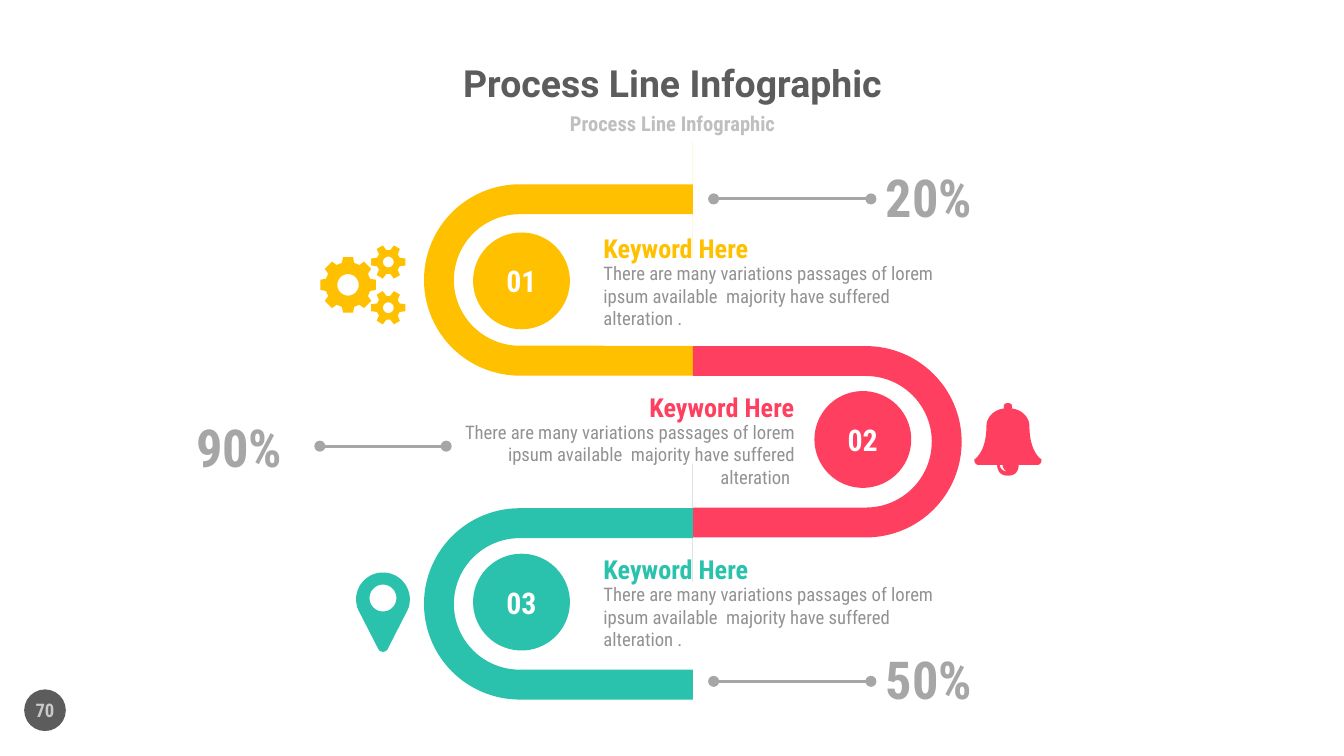
from dataclasses import dataclass
from math import cos, pi, sin

from lxml.etree import SubElement
from pptx import Presentation
from pptx.dml.color import RGBColor
from pptx.enum.shapes import MSO_CONNECTOR, MSO_SHAPE
from pptx.enum.text import MSO_ANCHOR, PP_ALIGN
from pptx.oxml.ns import qn
from pptx.util import Inches, Pt


@dataclass(frozen=True)
class Theme:
    title_font: str = "Roboto"
    font: str = "Roboto Condensed"
    dark: str = "5C5C5C"
    subtitle: str = "BFBFBF"
    number: str = "C9C9C9"
    body: str = "929292"
    callout: str = "A6A6A6"
    white: str = "FFFFFF"
    yellow: str = "FFC000"
    red: str = "FF3F5F"
    teal: str = "2AC2AC"
    title_size: int = 20
    subtitle_size: int = 11
    badge_size: int = 16
    keyword_size: int = 14
    body_size: int = 10
    value_size: int = 28


THEME = Theme()
DESCRIPTION = ("There are many variations passages of lorem ipsum available  "
               "majority have suffered alteration ")


# Shared helpers
def write(shape, text, size, color, bold=True, align=PP_ALIGN.LEFT,
          anchor=MSO_ANCHOR.TOP, wrap=False, font=THEME.font):
    frame = shape.text_frame
    frame.margin_left = frame.margin_right = frame.margin_top = frame.margin_bottom = 0
    frame.word_wrap = wrap
    frame.vertical_anchor = anchor
    para = frame.paragraphs[0]
    para.text = text
    para.alignment = align
    para.font.name = font
    para.font.size = Pt(size)
    para.font.bold = bold
    para.font.color.rgb = RGBColor.from_string(color)


def add_text(page, left, top, width, height, text, size, color, **style):
    box = page.shapes.add_textbox(Inches(left), Inches(top), Inches(width), Inches(height))
    write(box, text, size, color, **style)


def paint(shape, color):
    shape.shadow.inherit = False
    shape.fill.solid()
    shape.fill.fore_color.rgb = RGBColor.from_string(color)
    shape.line.fill.background()


def add_preset(page, preset, left, top, width, height, color):
    shape = page.shapes.add_shape(
        preset, Inches(left), Inches(top), Inches(width), Inches(height))
    paint(shape, color)
    return shape


def add_disc(page, left, top, diameter, color, text, size, text_color):
    disc = add_preset(page, MSO_SHAPE.OVAL, left, top, diameter, diameter, color)
    write(disc, text, size, text_color, align=PP_ALIGN.CENTER, anchor=MSO_ANCHOR.MIDDLE)


# Outline geometry, in inches relative to the icon box
def arc(x, y, radius, start=0, sweep=2 * pi, steps=48):
    angles = [start + sweep * i / steps for i in range(steps + 1)]
    return [(x + radius * cos(a), y + radius * sin(a)) for a in angles]


def curve(*controls, steps=12):
    points = []
    for i in range(steps + 1):
        t = i / steps
        weights = ((1 - t) ** 3, 3 * t * (1 - t) ** 2, 3 * t * t * (1 - t), t ** 3)
        points.append(tuple(sum(w * c[axis] for w, c in zip(weights, controls))
                            for axis in (0, 1)))
    return points


def add_outline(page, left, top, contours, color):
    contours = [[(Inches(left + x), Inches(top + y)) for x, y in contour]
                for contour in contours]
    builder = page.shapes.build_freeform(*contours[0][0])
    for index, contour in enumerate(contours):
        if index:
            builder.move_to(*contour[0])
        builder.add_line_segments(contour[1:], close=True)
    paint(builder.convert_to_shape(), color)


def gear(x, y, teeth, outer, root, hole, tip, base):
    corners = ((root, -base), (outer, -tip), (outer, tip), (root, base))
    rim = [(x + radius * cos(2 * pi * i / teeth + turn),
            y + radius * sin(2 * pi * i / teeth + turn))
           for i in range(teeth) for radius, turn in corners]
    return [rim, arc(x, y, hole, sweep=-2 * pi)]


# Icons
def add_gears(page, left, top, color):
    contours = gear(0.21, 0.29, 8, 0.21, 0.17, 0.08, 0.18, 0.27)
    for y in (0.12, 0.46):
        contours += gear(0.51, y, 6, 0.13, 0.09, 0.04, 0.2, 0.36)
    add_outline(page, left, top, contours, color)


def add_bell(page, left, top, color):
    half = (curve((0, 0), (0.02, 0), (0.03, 0.01), (0.03, 0.02))
            + curve((0.03, 0.04), (0.11, 0.05), (0.16, 0.11), (0.16, 0.17))
            + curve((0.16, 0.17), (0.16, 0.32), (0.21, 0.39), (0.25, 0.42))
            + curve((0.25, 0.42), (0.25, 0.45), (0.23, 0.46), (0.22, 0.46))
            + curve((0.08, 0.46), (0.08, 0.51), (0.05, 0.54), (0, 0.54)))
    body = half + [(-x, y) for x, y in reversed(half)]
    glint = (curve((0, 0.51), (-0.02, 0.51), (-0.04, 0.48), (-0.04, 0.46))
             + curve((-0.06, 0.46), (-0.06, 0.49), (-0.03, 0.51), (0, 0.51)))
    contours = [[(x + 0.25, y) for x, y in part] for part in (body, glint[::-1])]
    add_outline(page, left, top, contours, color)


def add_pin(page, left, top, color):
    drop = (arc(0.2, 0.2, 0.2, start=0.88 * pi, sweep=1.24 * pi)
            + arc(0.2, 0.55, 0.04, start=0.12 * pi, sweep=0.76 * pi))
    add_outline(page, left, top, [drop, arc(0.2, 0.19, 0.1, sweep=-2 * pi)], color)


# Regions
def add_header(page, left, top, width):
    style = dict(align=PP_ALIGN.CENTER, anchor=MSO_ANCHOR.MIDDLE)
    add_text(page, left, top, width, 0.39, "Process Line Infographic",
             THEME.title_size, THEME.dark, font=THEME.title_font, **style)
    add_text(page, left, top + 0.39, width, 0.22, "Process Line Infographic",
             THEME.subtitle_size, THEME.subtitle, **style)


def add_bend(page, left, top, color, opens_right):
    center_y = top + 0.71 + (-0.16 if opens_right else 0.16)
    bend = add_preset(page, MSO_SHAPE.U_TURN_ARROW, left + 0.12, center_y - 1, 1.75, 2, color)
    bend.rotation = 270 if opens_right else 90
    for index, value in enumerate((0.127, 0.25, 0, 0.407, 1)):
        bend.adjustments[index] = value


def add_step(page, left, top, label_top, number, color, text, opens_right):
    disc_left, text_left, align = ((0.36, 1.33, PP_ALIGN.LEFT) if opens_right
                                   else (0.9, -1.74, PP_ALIGN.RIGHT))
    keyword_left = text_left if opens_right else text_left + 2.49 - 1.32
    add_bend(page, left, top, color, opens_right)
    add_disc(page, left + disc_left, label_top, 0.72, color, number,
             THEME.badge_size, THEME.white)
    add_text(page, left + text_left, label_top + 0.22, 2.49, 0.5, text,
             THEME.body_size, THEME.body, bold=False, align=align, wrap=True)
    add_text(page, left + keyword_left, label_top, 1.32, 0.24, "Keyword Here",
             THEME.keyword_size, color, align=align, wrap=True)


def add_callout(page, left, top, value, line_left, line_right, line_y):
    line = page.shapes.add_connector(MSO_CONNECTOR.STRAIGHT, Inches(line_right),
                                     Inches(line_y), Inches(line_left), Inches(line_y))
    line.line.color.rgb = RGBColor.from_string(THEME.callout)
    line.line.width = Pt(1.5)
    for end in ("a:headEnd", "a:tailEnd"):
        SubElement(line.line._get_or_add_ln(), qn(end), type="oval")
    SubElement(line._element.spPr, qn("a:effectLst"))
    add_text(page, left, top, 0.79, 0.47, value, THEME.value_size, THEME.callout,
             anchor=MSO_ANCHOR.BOTTOM)


def main():
    deck = Presentation()
    deck.slide_width = Inches(10)
    deck.slide_height = deck.slide_width * 9 // 16
    page = deck.slides.add_slide(deck.slide_layouts[6])

    add_disc(page, 0.18, 5.13, 0.31, THEME.dark, "70", THEME.body_size, THEME.number)
    add_header(page, 1.92, 0.42, 6.17)

    # Winding line with its three steps
    add_step(page, 3.16, 1.37, 1.73, "01", THEME.yellow, DESCRIPTION + ".", True)
    add_step(page, 5.16, 2.58, 2.91, "02", THEME.red, DESCRIPTION, False)
    add_step(page, 3.16, 3.78, 4.12, "03", THEME.teal, DESCRIPTION + ".", True)

    add_gears(page, 2.38, 1.83, THEME.yellow)
    add_bell(page, 7.25, 3, THEME.red)
    add_pin(page, 2.65, 4.26, THEME.teal)

    # Percentages
    add_callout(page, 6.59, 1.23, "20%", 5.31, 6.48, 1.48)
    add_callout(page, 1.46, 3.09, "90%", 2.38, 3.32, 3.32)
    add_callout(page, 6.59, 4.81, "50%", 5.31, 6.48, 5.07)

    deck.save("out.pptx")


if __name__ == "__main__":
    main()
